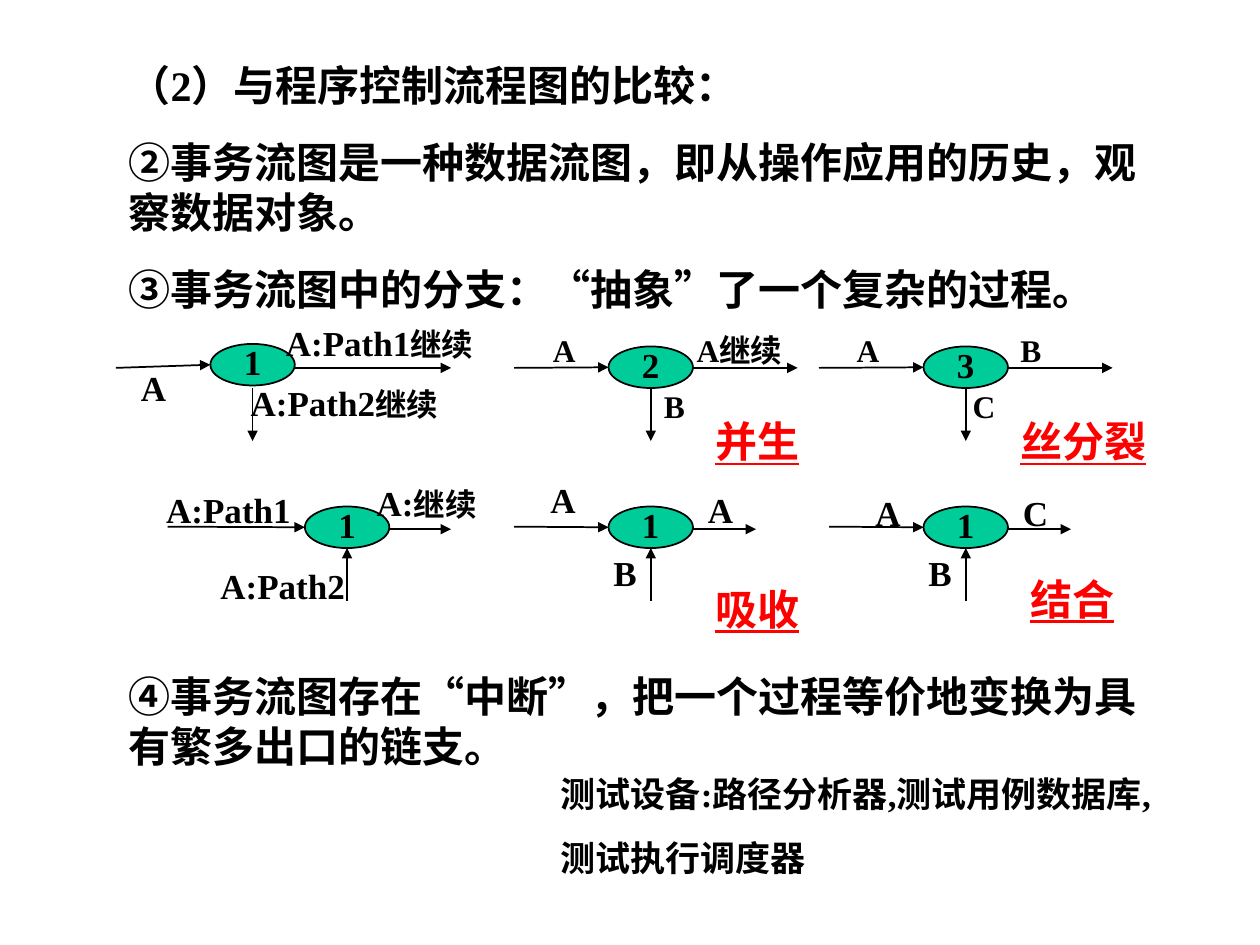
from dataclasses import dataclass

from lxml.etree import SubElement
from pptx import Presentation
from pptx.dml.color import RGBColor
from pptx.enum.lang import MSO_LANGUAGE_ID as Lang
from pptx.enum.shapes import MSO_CONNECTOR as Conn, MSO_SHAPE as Shape
from pptx.enum.text import MSO_ANCHOR as Anchor, MSO_AUTO_SIZE as Fit, PP_ALIGN as Align
from pptx.oxml.ns import qn
from pptx.util import Inches, Pt

SERIF = "Times New Roman"
BLACK, RED, GREEN = "000000", "FF0000", "00CC99"
NODE_W, NODE_H = 0.67, 0.33


@dataclass
class Run:
    text: str
    size: float = 20
    font: str = SERIF
    color: str = BLACK
    underline: bool = False


@dataclass
class Label:
    x: float
    y: float
    w: float
    runs: list[Run]


@dataclass
class Node:
    number: str
    x: float
    y: float
    start: tuple[float, float]
    end: tuple[float, float]
    branch: tuple[float, float]


def rgb(value: str) -> RGBColor:
    return RGBColor.from_string(value)


def set_all(target, values: dict) -> None:
    for name, value in values.items():
        setattr(target, name, value)


def place(sp, x: float, y: float, w: float, h: float) -> None:
    set_all(sp, {"left": Inches(x), "top": Inches(y),
                 "width": Inches(w), "height": Inches(h)})


def write(tf, paragraphs: list[list[Run]], gap: float = 0, wrap: bool = True,
          align=Align.LEFT, anchor=Anchor.TOP) -> None:
    set_all(tf, {"word_wrap": wrap, "auto_size": Fit.NONE, "vertical_anchor": anchor})
    for i, runs in enumerate(paragraphs):
        p = tf.paragraphs[0] if i == 0 else tf.add_paragraph()
        set_all(p, {"alignment": align, "space_before": Pt(gap if i else 0)})
        for run in runs:
            r = p.add_run()
            r.text = run.text
            set_all(r.font, {"name": run.font, "size": Pt(run.size), "bold": True,
                             "underline": run.underline,
                             "language_id": Lang.SIMPLIFIED_CHINESE})
            r.font.color.rgb = rgb(run.color)


def remove_bullets(tf) -> None:
    for p in tf.paragraphs:
        pPr = p._p.get_or_add_pPr()
        pPr.set("marL", "0")
        pPr.set("indent", "0")
        SubElement(pPr, qn("a:buNone"))


def add_text(s, x: float, y: float, w: float, h: float,
             paragraphs: list[list[Run]], gap: float = 0, wrap: bool = True) -> None:
    sp = s.shapes.add_textbox(Inches(x), Inches(y), Inches(w), Inches(h))
    write(sp.text_frame, paragraphs, gap, wrap)


def add_label(s, label: Label) -> None:
    h = 0.44 if label.runs[0].size == 20 else 0.4
    add_text(s, label.x, label.y, label.w, h, [label.runs], wrap=False)


def add_arrow(s, start: tuple[float, float], end: tuple[float, float]) -> None:
    cx = s.shapes.add_connector(Conn.STRAIGHT, *map(Inches, start + end))
    cx.line.width = Pt(1)
    cx.line.color.rgb = rgb(BLACK)
    SubElement(cx.line._get_or_add_ln(), qn("a:tailEnd"), type="triangle")
    SubElement(cx._element.spPr, qn("a:effectLst"))


def add_node(s, node: Node) -> None:
    sp = s.shapes.add_shape(Shape.OVAL, *map(Inches, (node.x, node.y, NODE_W, NODE_H)))
    sp.shadow.inherit = False
    sp.fill.solid()
    sp.fill.fore_color.rgb = rgb(GREEN)
    sp.line.color.rgb = rgb(BLACK)
    sp.line.width = Pt(1)
    tf = sp.text_frame
    set_all(tf, {"margin_left": 0, "margin_right": 0,
                 "margin_top": 0, "margin_bottom": Inches(0.05)})
    write(tf, [[Run(node.number)]], wrap=False, align=Align.CENTER, anchor=Anchor.MIDDLE)
    middle = node.x + NODE_W / 2
    add_arrow(s, node.start, (node.x, node.y + NODE_H / 2))
    add_arrow(s, (node.x + NODE_W, node.end[1]), node.end)
    add_arrow(s, (middle, node.branch[0]), (middle, node.branch[1]))


def item(mark: str, text: str) -> list[Run]:
    return [Run(mark, 24, "Arial"), Run(text, 24)]


SPLIT, JOIN = (3.08, 3.5), (4.77, 4.35)
NODES = [
    Node("1", 1.67, 2.73, (0.92, 2.92), (3.58, 2.92), SPLIT),
    Node("2", 4.83, 2.75, (4.08, 2.92), (6.33, 2.92), SPLIT),
    Node("3", 7.33, 2.75, (6.5, 2.92), (8.83, 2.92), SPLIT),
    Node("1", 2.42, 4.02, (1.33, 4.18), (3.58, 4.2), JOIN),
    Node("1", 4.83, 4.02, (4.08, 4.18), (6, 4.2), JOIN),
    Node("1", 7.33, 4.02, (6.58, 4.18), (8.5, 4.2), JOIN),
]
GO_ON = Run("继续", 18)
LABELS = [
    Label(1.02, 2.86, 0.4, [Run("A")]),
    Label(2.17, 2.5, 1.75, [Run("A:Path1"), GO_ON]),
    Label(1.89, 2.98, 1.75, [Run("A:Path2"), GO_ON]),
    Label(4.29, 2.58, 0.38, [Run("A", 18)]),
    Label(5.43, 2.58, 0.94, [Run("A继续", 18)]),
    Label(5.17, 3.02, 0.36, [Run("B", 18)]),
    Label(6.7, 2.58, 0.38, [Run("A", 18)]),
    Label(8, 2.58, 0.36, [Run("B", 18)]),
    Label(7.62, 3.02, 0.38, [Run("C", 18)]),
    Label(1.22, 3.83, 1.21, [Run("A:Path1")]),
    Label(1.65, 4.43, 1.19, [Run("A:Path2")]),
    Label(2.89, 3.77, 1.06, [Run("A:"), GO_ON]),
    Label(4.27, 3.75, 0.4, [Run("A")]),
    Label(4.77, 4.33, 0.38, [Run("B")]),
    Label(5.52, 3.83, 0.4, [Run("A")]),
    Label(7.27, 4.33, 0.38, [Run("B")]),
    Label(6.85, 3.85, 0.4, [Run("A")]),
    Label(8.02, 3.85, 0.4, [Run("C")]),
]
CAPTIONS = [
    ("并生", 5.58, 3.25, 1),
    ("丝分裂", 8, 3.25, 1.33),
    ("吸收", 5.58, 4.58, 1.17),
    ("结合", 8.08, 4.5, 1.33),
]


def main() -> None:
    prs = Presentation()
    set_all(prs, {"slide_width": Inches(10), "slide_height": Inches(7.5)})
    s = prs.slides.add_slide(prs.slide_layouts[1])
    title, body = s.placeholders
    place(title, 0.92, 0.42, 8.33, 0.5)
    write(title.text_frame, [[Run("（2）与程序控制流程图的比较：", 24)]])
    place(body, 0.92, 1.03, 8.33, 1.51)
    write(body.text_frame, [
        item("②", "事务流图是一种数据流图，即从操作应用的历史，观察数据对象。"),
        item("③", "事务流图中的分支：“抽象”了一个复杂的过程。"),
    ], gap=15)
    remove_bullets(body.text_frame)
    for node in NODES:
        add_node(s, node)
    for label in LABELS:
        add_label(s, label)
    for text, x, y, w in CAPTIONS:
        add_text(s, x, y, w, 0.5, [[Run(text, 24, color=RED, underline=True)]])
    add_text(s, 0.92, 5.27, 8.42, 0.9, [
        item("④", "事务流图存在“中断”，把一个过程等价地变换为具有繁多出口的链支。")])
    add_text(s, 4.35, 6.08, 5.22, 0.94, [
        [Run("测试设备:路径分析器,测试用例数据库,")],
        [Run("测试执行调度器")],
    ], gap=12.5, wrap=False)
    prs.save("out.pptx")


if __name__ == "__main__":
    main()
